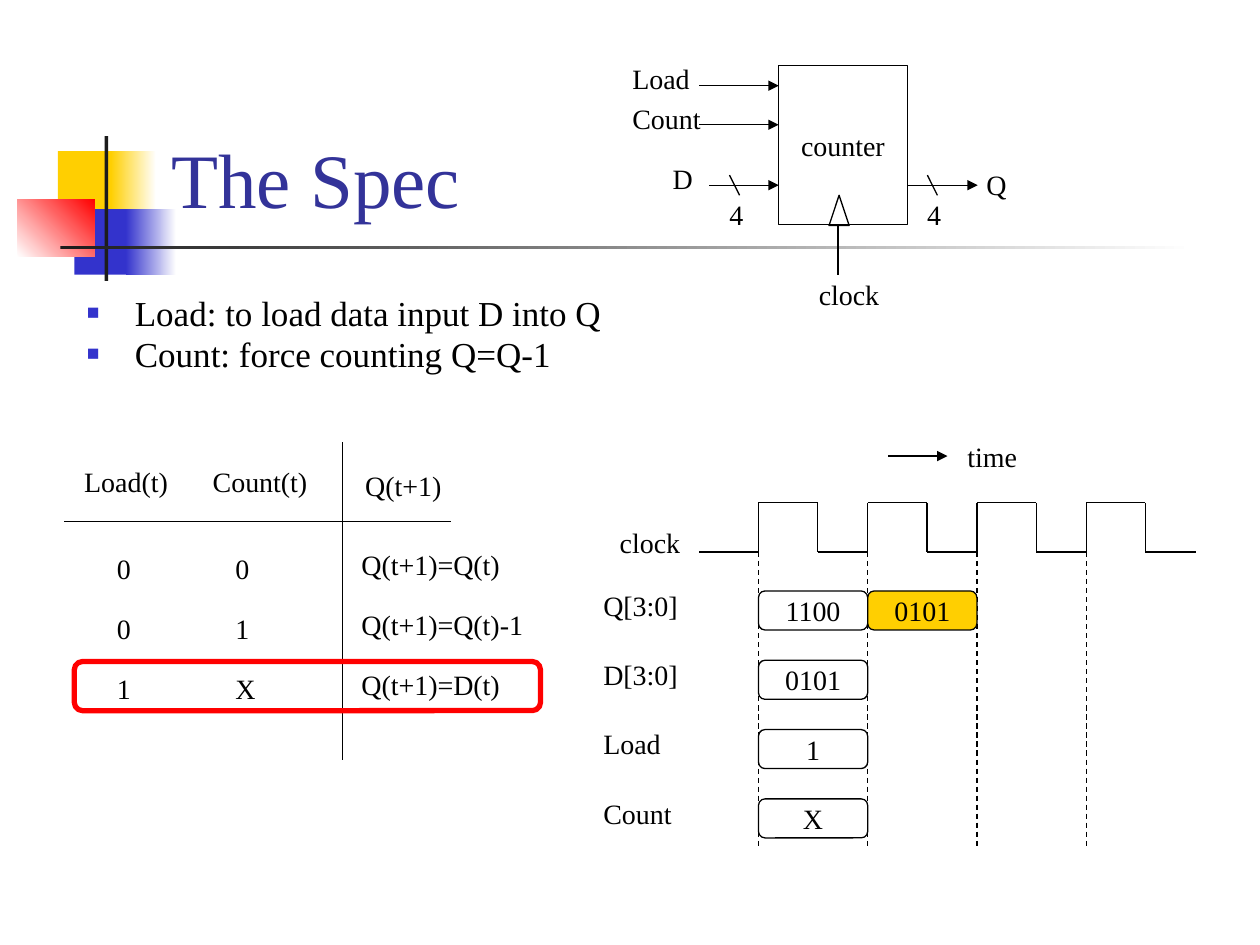
import itertools
import lxml.etree
import pptx
import pptx.dml.color
import pptx.enum.dml
import pptx.enum.shapes
import pptx.enum.text
import pptx.oxml.ns
import pptx.util

RGB = pptx.dml.color.RGBColor
KIND = pptx.enum.shapes.MSO_SHAPE
ANCHOR = pptx.enum.text.MSO_ANCHOR
ALIGN = pptx.enum.text.PP_ALIGN
INCH = pptx.util.Inches
PT = pptx.util.Pt
FONT = "Times New Roman"
BLACK, WHITE = RGB(0, 0, 0), RGB(255, 255, 255)
INK, NAVY, BLUE = RGB(0x1C, 0x1C, 0x1C), RGB(0x33, 0x33, 0x99), RGB(0x33, 0x33, 0xCC)
GOLD, RED = RGB(0xFF, 0xCF, 0x01), RGB(255, 0, 0)

# Content
TITLE = "The Spec"
BODY = ["Load: to load data input D into Q", "Count: force counting Q=Q-1"]
# left, top, width, height, colours, gradient angle
DECOR = [
    (0.46, 1.2, 0.48, 0.52, [GOLD], 0),
    (0.88, 1.2, 0.36, 0.52, [GOLD, WHITE], 0),
    (0.59, 1.66, 0.46, 0.52, [BLUE], 0),
    (1, 1.66, 0.4, 0.52, [BLUE, WHITE], 0),
    (0.14, 1.58, 0.61, 0.46, [WHITE, RED], 45),
    (0.83, 1.08, 0.03, 1.15, [INK], 0),
    (0.48, 1.95, 9, 0.03, [INK, WHITE], 0),
]
PINS = [("clock", 6.4, 2.15), ("4", 5.69, 1.52), ("D", 5.24, 1.23), ("4", 7.26, 1.52),
        ("Q", 7.73, 1.28), ("Load", 4.92, 0.44), ("Count", 4.92, 0.76)]
ARROWS = [(5.63, 1.47, 6.18), (7.21, 1.47, 7.76), (5.55, 0.68, 6.18), (5.55, 0.99, 6.18)]
HEADS = [("Load(t)", 0.57, 3.64), ("Count(t)", 1.59, 3.64), ("Q(t+1)", 2.8, 3.67)]
ROWS = [("0", "0", "Q(t+1)=Q(t)"), ("0", "1", "Q(t+1)=Q(t)-1"), ("1", "X", "Q(t+1)=D(t)")]
COLS = [(0.83, 4.33), (1.77, 4.33), (2.77, 4.3)]
SIGNALS = [("Q[3:0]", ["1100", "0101"]), ("D[3:0]", ["0101"]), ("Load", ["1"]), ("Count", ["X"])]
WIDTHS = {"clock": 0.68, "D": 0.36, "Q": 0.36, "X": 0.36, "Load": 0.66, "Count": 0.74,
          "Load(t)": 0.87, "Count(t)": 0.96, "Q(t+1)": 0.81, "Q(t+1)=Q(t)": 1.31,
          "Q(t+1)=Q(t)-1": 1.49, "Q(t+1)=D(t)": 1.31, "time": 0.6, "Q[3:0]": 0.8,
          "D[3:0]": 0.8}
DIGIT = 0.31

# Timing grid
START, CYCLE, HIGH, COUNT = 6.02, 0.867, 0.47, 4
TOP, LOW, FOOT, STEP = 3.99, 4.38, 6.74, 0.55


def style(frame, size, color=BLACK):
    for para in frame.paragraphs:
        for run in para.runs:
            run.font.name, run.font.size = FONT, PT(size)
            run.font.color.rgb = color


def place(item, left, top, width, height):
    item.left, item.top = INCH(left), INCH(top)
    item.width, item.height = INCH(width), INCH(height)


def label(home, text, left, top):
    box = home.shapes.add_textbox(INCH(left), INCH(top), INCH(WIDTHS.get(text, DIGIT)), INCH(0.37))
    frame = box.text_frame
    frame.text = text
    frame.word_wrap = False
    frame.auto_size = pptx.enum.text.MSO_AUTO_SIZE.SHAPE_TO_FIT_TEXT
    style(frame, 16)


def line(home, x1, y1, x2, y2, arrow=False, dash=False):
    link = home.shapes.add_connector(pptx.enum.shapes.MSO_CONNECTOR.STRAIGHT,
                                     INCH(x1), INCH(y1), INCH(x2), INCH(y2))
    link.line.color.rgb, link.line.width = BLACK, PT(0.75)
    if dash:
        link.line.dash_style = pptx.enum.dml.MSO_LINE.DASH
    qn = pptx.oxml.ns.qn
    props = link.element.find(qn("p:spPr"))
    if arrow:
        lxml.etree.SubElement(props.find(qn("a:ln")), qn("a:tailEnd"), type="triangle")
    lxml.etree.SubElement(props, qn("a:effectLst"))


def block(home, kind, left, top, width, height, text="", fill=None, edge=BLACK, weight=0.75):
    item = home.shapes.add_shape(kind, INCH(left), INCH(top), INCH(width), INCH(height))
    item.shadow.inherit = False
    if fill is None:
        item.fill.background()
    else:
        item.fill.solid()
        item.fill.fore_color.rgb = fill
    item.line.color.rgb, item.line.width = edge, PT(weight)
    if text:
        frame = item.text_frame
        frame.text = text
        frame.word_wrap = False
        frame.vertical_anchor = ANCHOR.MIDDLE
        frame.paragraphs[0].alignment = ALIGN.CENTER
        style(frame, 16)


def bullet(para):
    qn = pptx.oxml.ns.qn
    para.line_spacing, para.space_before = 0.8, PT(4)
    props = para._p.get_or_add_pPr()
    props.set("marL", str(INCH(0.38)))
    props.set("indent", str(-INCH(0.38)))
    tint = lxml.etree.SubElement(props, qn("a:buClr"))
    lxml.etree.SubElement(tint, qn("a:srgbClr"), val=str(BLUE))
    lxml.etree.SubElement(props, qn("a:buSzPct"), val="60000")
    lxml.etree.SubElement(props, qn("a:buChar"), char="■")


def decorate(slide):
    for left, top, width, height, colors, angle in DECOR:
        item = slide.shapes.add_shape(KIND.RECTANGLE, INCH(left), INCH(top),
                                      INCH(width), INCH(height))
        item.shadow.inherit = False
        item.line.fill.background()
        if len(colors) == 1:
            item.fill.solid()
            item.fill.fore_color.rgb = colors[0]
        else:
            item.fill.gradient()
            item.fill.gradient_angle = angle
            for stop, color in zip(item.fill.gradient_stops, colors):
                stop.color.rgb = color


def write(slide):
    title, body = slide.shapes.title, slide.placeholders[1]
    place(title, 1.26, 0.23, 8.52, 1.6)
    title.text_frame.text = TITLE
    title.text_frame.vertical_anchor = ANCHOR.BOTTOM
    title.text_frame.paragraphs[0].alignment = ALIGN.LEFT
    style(title.text_frame, 44, NAVY)
    place(body, 0.59, 2.33, 4.41, 0.94)
    body.text_frame.text = "\n".join(BODY)
    for para in body.text_frame.paragraphs:
        bullet(para)
    style(body.text_frame, 20)
    # Keep the text in front of the decoration
    for item in (title, body):
        item.element.getparent().append(item.element)


def counter(home):
    block(home, KIND.RECTANGLE, 6.18, 0.52, 1.02, 1.26, "counter")
    block(home, KIND.ISOSCELES_TRIANGLE, 6.58, 1.55, 0.16, 0.24)
    line(home, 6.65, 2.18, 6.65, 1.78)
    for x1, y, x2 in ARROWS:
        line(home, x1, y, x2, y, arrow=True)
    for x in (5.79, 7.36):
        line(home, x, 1.39, x + 0.08, 1.55)
    for pin in PINS:
        label(home, *pin)


def truth(home):
    line(home, 0.51, 4.14, 3.58, 4.14)
    line(home, 2.72, 3.51, 2.72, 6.03)
    for head in HEADS:
        label(home, *head)
    for i, row in enumerate(ROWS):
        for text, (left, top) in zip(row, COLS):
            label(home, text, left, top + i * 0.475)


def timing(home):
    # Clock wave
    rises = [START + i * CYCLE for i in range(COUNT)]
    points = [(5.55, LOW)]
    for x in rises:
        points += [(x, LOW), (x, TOP), (x + HIGH, TOP), (x + HIGH, LOW)]
    points.append((9.49, LOW))
    for start, end in itertools.pairwise(points):
        line(home, *start, *end)
    for x in rises:
        line(home, x, LOW, x, FOOT, dash=True)
    # Labels
    line(home, 7.05, 3.62, 7.52, 3.62, arrow=True)
    label(home, "time", 7.58, 3.44)
    label(home, "clock", 4.82, 4.12)
    for i, (name, _) in enumerate(SIGNALS):
        label(home, name, 4.69, 4.62 + i * STEP)


def main():
    deck = pptx.Presentation()
    deck.slide_width, deck.slide_height = INCH(10), INCH(7.5)
    slide = deck.slides.add_slide(deck.slide_layouts[1])
    decorate(slide)
    write(slide)
    for draw in (counter, truth, timing):
        draw(slide.shapes.add_group_shape())
    # Signal values, the loaded one in gold
    for i, (_, values) in enumerate(SIGNALS):
        for j, value in enumerate(values):
            block(slide, KIND.ROUNDED_RECTANGLE, START + j * CYCLE, 4.69 + i * STEP,
                  CYCLE, 0.31, value, GOLD if j else None)
    # Active row
    block(slide, KIND.ROUNDED_RECTANGLE, 0.59, 5.25, 3.7, 0.39, edge=RED, weight=3)
    deck.save("out.pptx")


if __name__ == "__main__":
    main()
